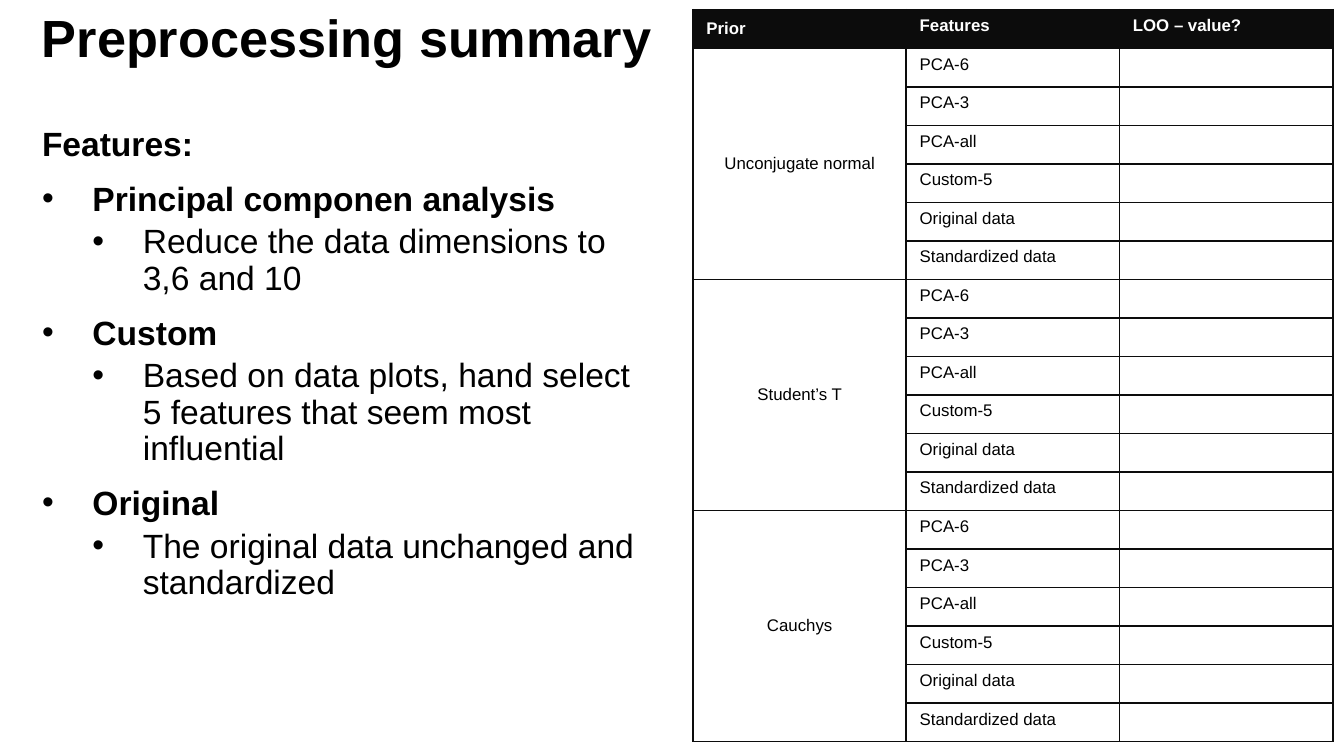
from lxml.etree import SubElement
from pptx import Presentation
from pptx.dml.color import RGBColor
from pptx.enum.text import MSO_ANCHOR, PP_ALIGN
from pptx.oxml.ns import qn
from pptx.util import Pt

PX = 9525  # EMU per px, 96 px to the inch
BLACK, INK, WHITE = "000000", "0C0C0C", "FFFFFF"
CELL_SIZE = 9

TOPICS = [
    ("Principal componen analysis", "Reduce the data dimensions to 3,6 and 10"),
    ("Custom", "Based on data plots, hand select 5 features that seem most influential"),
    ("Original", "The original data unchanged and standardized"),
]
HEADERS = ["Prior", "Features", "LOO – value?"]
PRIORS = ["Unconjugate normal", "Student’s T", "Cauchys"]
FEATURES = ["PCA-6", "PCA-3", "PCA-all", "Custom-5", "Original data", "Standardized data"]


def px(length):
    return int(length * PX)


def color(hex_value):
    return RGBColor.from_string(hex_value)


def set_font(paragraph, size, hex_value, bold=False):
    font = paragraph.font
    font.name, font.size, font.bold = "Arial", Pt(size), bold
    font.color.rgb = color(hex_value)


def add_text_frame(slide, box):
    frame = slide.shapes.add_textbox(*map(px, box)).text_frame
    frame.word_wrap = True
    frame.margin_left = frame.margin_right = frame.margin_top = frame.margin_bottom = 0
    return frame


def add_bullet(frame, text, level):
    paragraph = frame.add_paragraph()
    paragraph.text = text
    paragraph.level = level
    properties = paragraph._p.get_or_add_pPr()
    properties.set("marL", str(px(36 * (level + 1))))
    properties.set("indent", str(px(-36)))
    SubElement(properties, qn("a:buFont"), typeface="Arial")
    SubElement(properties, qn("a:buChar"), char="•")
    paragraph.space_before = Pt(3.8 if level else 7.5)
    if level:
        paragraph.line_spacing = 0.9
    set_font(paragraph, 18, BLACK, bold=level == 0)


def add_title(slide, box):
    paragraph = add_text_frame(slide, box).paragraphs[0]
    paragraph.text = "Preprocessing summary"
    set_font(paragraph, 28, BLACK, bold=True)


def add_feature_list(slide, box):
    frame = add_text_frame(slide, box)
    heading = frame.paragraphs[0]
    heading.text = "Features:"
    set_font(heading, 18, BLACK, bold=True)
    for topic, detail in TOPICS:
        add_bullet(frame, topic, 0)
        add_bullet(frame, detail, 1)


def set_borders(cell, row_width=1):
    properties = cell._tc.get_or_add_tcPr()
    for side, width in (("L", 1), ("R", 1), ("T", row_width), ("B", row_width)):
        line = SubElement(properties, qn(f"a:ln{side}"), w=str(Pt(width)))
        fill = SubElement(line, qn("a:solidFill"))
        SubElement(fill, qn("a:srgbClr"), val=INK)


def style_cell(cell, text="", hex_value=BLACK, bold=False, row_width=1):
    set_borders(cell, row_width)
    cell.fill.background()
    paragraph = cell.text_frame.paragraphs[0]
    if text:
        paragraph.text = text
        set_font(paragraph, CELL_SIZE, hex_value, bold)
    else:
        # Keeps an empty cell from stretching its row
        paragraph._p.get_or_add_endParaRPr().set("sz", str(CELL_SIZE * 100))


def add_prior_table(slide, box):
    left, top, width, height = map(px, box)
    row_count = 1 + len(PRIORS) * len(FEATURES)
    table = slide.shapes.add_table(row_count, len(HEADERS), left, top, width, height).table
    table.horz_banding = False
    for column in table.columns:
        column.width = width // len(HEADERS)
    for row in table.rows:
        row.height = height // row_count

    # Header row
    for column, header in enumerate(HEADERS):
        cell = table.cell(0, column)
        style_cell(cell, header, WHITE, bold=True)
        cell.fill.solid()
        cell.fill.fore_color.rgb = color(INK)
    table.cell(0, 0).vertical_anchor = MSO_ANCHOR.MIDDLE

    # One group of feature rows for each prior
    for group, prior in enumerate(PRIORS):
        first = 1 + group * len(FEATURES)
        for offset, feature in enumerate(FEATURES):
            row_width = 1 if offset % 2 else 0.5
            style_cell(table.cell(first + offset, 0), prior if offset == 0 else "")
            style_cell(table.cell(first + offset, 1), feature, row_width=row_width)
            style_cell(table.cell(first + offset, 2), row_width=row_width)
        prior_cell = table.cell(first, 0)
        prior_cell.merge(table.cell(first + len(FEATURES) - 1, 0))
        prior_cell.vertical_anchor = MSO_ANCHOR.MIDDLE
        prior_cell.text_frame.paragraphs[0].alignment = PP_ALIGN.CENTER


def main():
    presentation = Presentation()
    presentation.slide_width, presentation.slide_height = px(960), px(540)
    slide = presentation.slides.add_slide(presentation.slide_layouts[6])
    slide.background.fill.solid()
    slide.background.fill.fore_color.rgb = color(WHITE)
    add_feature_list(slide, (30, 88, 425, 367))
    add_title(slide, (30, 4, 450, 109))
    add_prior_table(slide, (495, 7, 457, 523))
    presentation.save("out.pptx")


if __name__ == "__main__":
    main()
